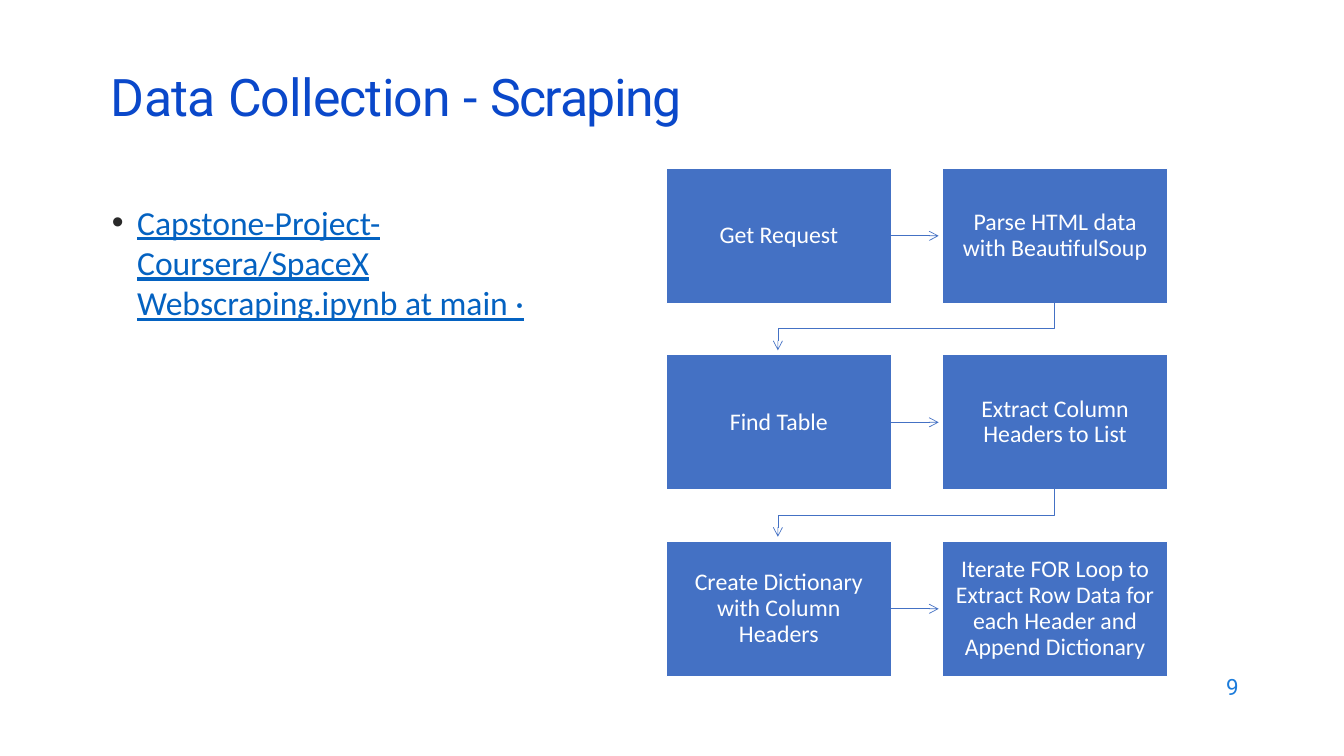
from dataclasses import dataclass

from lxml.etree import SubElement
from pptx import Presentation
from pptx.dml.color import RGBColor
from pptx.enum.shapes import MSO_CONNECTOR, MSO_SHAPE
from pptx.enum.text import MSO_ANCHOR, MSO_AUTO_SIZE, PP_ALIGN
from pptx.oxml.ns import qn
from pptx.shapes.connector import Connector
from pptx.slide import Slide
from pptx.text.text import TextFrame, _Paragraph
from pptx.util import Pt

PX = 9144
COLORS = {
    "title": "0A48CA",
    "link": "0462C1",
    "bullet": "292929",
    "step": "4471C4",
    "white": "FFFFFF",
    "page": "1C7CDB",
}
STEP_W, STEP_H = 223, 134
FLOW_LEFT, FLOW_TOP = 661, 167
COLUMN_PITCH, ROW_PITCH = 274, 185
COLUMNS = 2
ARROW_GAP = 4
BEND = 54000


@dataclass(frozen=True)
class Step:
    """A box of the scraping flow, placed by its order."""

    label: str
    order: int

    @property
    def left(self) -> int:
        return FLOW_LEFT + self.order % COLUMNS * COLUMN_PITCH

    @property
    def top(self) -> int:
        return FLOW_TOP + self.order // COLUMNS * ROW_PITCH

    @property
    def center_x(self) -> int:
        return self.left + STEP_W // 2

    @property
    def center_y(self) -> int:
        return self.top + STEP_H // 2


@dataclass(frozen=True)
class Style:
    """The look of a run of text."""

    font: str
    size: int
    color: str
    underline: bool = False


TITLE = Style("Roboto", 37, "title")
LINK = Style("Calibri", 24, "link", True)
STEP = Style("Calibri", 17, "white")
PAGE = Style("Roboto", 16, "page")
TITLE_RUNS = (("Data ", -50), ("Collection ", -60), ("- ", 0), ("Scraping", -110))
LABELS = (
    "Get Request",
    "Parse HTML data with BeautifulSoup",
    "Find Table",
    "Extract Column Headers to List",
    "Create Dictionary with Column Headers",
    "Iterate FOR Loop to Extract Row Data for each Header and Append Dictionary",
)


def rgb(name: str) -> RGBColor:
    """Look up a colour by its role."""
    return RGBColor.from_string(COLORS[name])


def add_run(paragraph: _Paragraph, text: str, style: Style, tracking: int = 0) -> None:
    """Add one styled run, tracked in hundredths of a point."""
    run = paragraph.add_run()
    run.text = text
    run.font.name = style.font
    run.font.size = Pt(style.size)
    run.font.color.rgb = rgb(style.color)
    if style.underline:
        run.font.underline = True
    if tracking:
        run.font._element.set("spc", str(tracking))


def set_frame(frame: TextFrame, anchor: MSO_ANCHOR, side: int = 0, top: int = 0) -> None:
    """Set margins, wrapping and anchoring of a text frame."""
    frame.auto_size = MSO_AUTO_SIZE.NONE
    frame.word_wrap = True
    frame.vertical_anchor = anchor
    frame.margin_left = frame.margin_right = side * PX
    frame.margin_top, frame.margin_bottom = top * PX, 0


def place(shape, left: int, top: int, width: int, height: int) -> None:
    """Move and resize a placeholder."""
    shape.left, shape.top = left * PX, top * PX
    shape.width, shape.height = width * PX, height * PX


def add_title(slide: Slide) -> None:
    """Fill the title placeholder."""
    title = slide.shapes.title
    place(title, 110, 62, 620, 64)
    set_frame(title.text_frame, MSO_ANCHOR.TOP, top=2)
    heading = title.text_frame.paragraphs[0]
    heading.alignment = PP_ALIGN.LEFT
    for text, tracking in TITLE_RUNS:
        add_run(heading, text, TITLE, tracking)


def add_notebook_bullet(slide: Slide) -> None:
    """Fill the body placeholder with the notebook reference."""
    body = slide.placeholders[1]
    place(body, 110, 198, 413, 163)
    set_frame(body.text_frame, MSO_ANCHOR.TOP, top=2)
    notebook = body.text_frame.paragraphs[0]
    properties = notebook._p.get_or_add_pPr()
    properties.set("marL", str(26 * PX))
    properties.set("indent", str(-25 * PX))
    bullet_color = SubElement(properties, qn("a:buClr"))
    SubElement(bullet_color, qn("a:srgbClr")).set("val", COLORS["bullet"])
    SubElement(properties, qn("a:buChar")).set("char", "•")
    notebook.space_before = Pt(0)
    add_run(notebook, "Capstone-Project-Coursera/SpaceX Webscraping.ipynb at main ·", LINK)


def add_step(slide: Slide, step: Step) -> None:
    """Draw one box of the flow."""
    box = slide.shapes.add_shape(
        MSO_SHAPE.RECTANGLE, step.left * PX, step.top * PX, STEP_W * PX, STEP_H * PX
    )
    box.shadow.inherit = False
    box.fill.solid()
    box.fill.fore_color.rgb = rgb("step")
    box.line.color.rgb = rgb("white")
    box.line.width = Pt(1)
    set_frame(box.text_frame, MSO_ANCHOR.MIDDLE, side=11)
    label = box.text_frame.paragraphs[0]
    label.alignment = PP_ALIGN.CENTER
    label.line_spacing = 0.9
    add_run(label, step.label, STEP)


def add_arrow(slide: Slide, kind: MSO_CONNECTOR, x1: int, y1: int, x2: int, y2: int) -> Connector:
    """Draw a thin connector with an open arrowhead."""
    arrow = slide.shapes.add_connector(kind, x1 * PX, y1 * PX, x2 * PX, y2 * PX)
    arrow.line.color.rgb = rgb("step")
    arrow.line.width = Pt(0.5)
    SubElement(arrow.line._get_or_add_ln(), qn("a:tailEnd")).set("type", "arrow")
    SubElement(arrow._element.spPr, qn("a:effectLst"))
    return arrow


def link_steps(slide: Slide, source: Step, target: Step) -> None:
    """Join two steps, across a row or down to the next one."""
    if source.top == target.top:
        add_arrow(slide, MSO_CONNECTOR.STRAIGHT, source.left + STEP_W, source.center_y,
                  target.left - ARROW_GAP, target.center_y)
        return
    start_y, end_y = source.top + STEP_H, target.top - ARROW_GAP
    drop, run = end_y - start_y, source.center_x - target.center_x
    left = (source.center_x + target.center_x - drop) // 2
    top = (start_y + end_y - run) // 2
    elbow = add_arrow(slide, MSO_CONNECTOR.ELBOW, left, top, left + drop, top + run)
    properties = elbow._element.spPr
    properties.find(qn("a:xfrm")).set("rot", "5400000")
    bend = SubElement(properties.find(qn("a:prstGeom")).find(qn("a:avLst")), qn("a:gd"))
    bend.set("name", "adj1")
    bend.set("fmla", f"val {BEND}")


def add_page_number(slide: Slide) -> None:
    """Write the page number."""
    page = slide.shapes.add_textbox(1212 * PX, 668 * PX, 36 * PX, 28 * PX)
    set_frame(page.text_frame, MSO_ANCHOR.TOP, side=4)
    add_run(page.text_frame.paragraphs[0], "9", PAGE)


def main() -> None:
    """Build and save the slide."""
    presentation = Presentation()
    presentation.slide_width, presentation.slide_height = 1333 * PX, 750 * PX
    slide = presentation.slides.add_slide(presentation.slide_layouts[1])
    add_title(slide)
    add_notebook_bullet(slide)
    steps = [Step(label, order) for order, label in enumerate(LABELS)]
    for step in steps:
        add_step(slide, step)
    for source, target in zip(steps, steps[1:]):
        link_steps(slide, source, target)
    add_page_number(slide)
    presentation.save("out.pptx")


if __name__ == "__main__":
    main()
